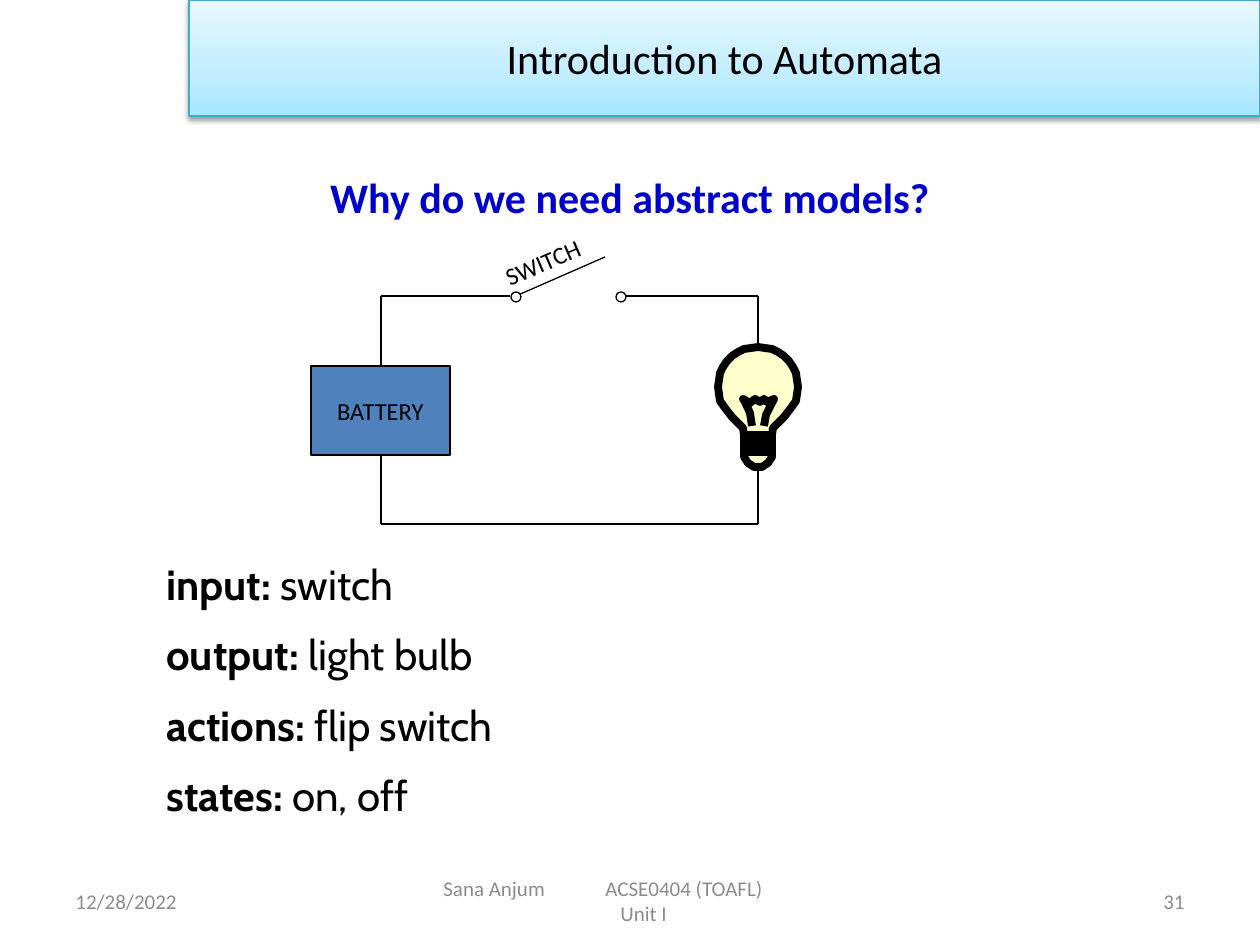
from dataclasses import dataclass
from math import cos, radians, sin

from lxml.etree import SubElement
from pptx import Presentation
from pptx.dml.color import RGBColor
from pptx.enum.shapes import MSO_CONNECTOR, MSO_SHAPE
from pptx.enum.text import MSO_ANCHOR, PP_ALIGN
from pptx.oxml.ns import qn
from pptx.util import Emu, Pt

EMU_PER_PX = 914400 / 126


@dataclass(frozen=True)
class Theme:
    black: str = "000000"
    white: str = "FFFFFF"
    heading: str = "0000CC"
    battery: str = "4F81BD"
    glass: str = "FFFFCC"
    footer: str = "8C8C8C"
    banner_line: str = "46AAC5"
    banner_stops: tuple = ((0, "A7E6FF"), (35, "C1EDFF"), (100, "E7F8FF"))
    font: str = "Calibri"
    list_font: str = "Cabin"
    large: int = 24
    label: int = 14
    small: int = 12
    thin: float = 0.75
    thick: float = 4.5


THEME = Theme()


def px(length):
    return Emu(round(length * EMU_PER_PX))


def add_run(paragraph, text, size, color=THEME.black, bold=False, font=THEME.font):
    run = paragraph.add_run()
    run.text = text
    run.font.name = font
    run.font.size = Pt(size)
    run.font.bold = bold
    run.font.color.rgb = RGBColor.from_string(color)


def add_text_box(slide, box, anchor=MSO_ANCHOR.MIDDLE, wrap=True):
    shape = slide.shapes.add_textbox(*map(px, box))
    shape.text_frame.word_wrap = wrap
    shape.text_frame.vertical_anchor = anchor
    return shape


def add_label(slide, box, text, size, color, align=PP_ALIGN.LEFT, bold=False):
    paragraph = add_text_box(slide, box).text_frame.paragraphs[0]
    paragraph.alignment = align
    add_run(paragraph, text, size, color, bold)


def style_shape(shape, fill, line=THEME.black, width=THEME.thin):
    shape.shadow.inherit = False
    if fill is None:
        shape.fill.background()
    else:
        shape.fill.solid()
        shape.fill.fore_color.rgb = RGBColor.from_string(fill)
    shape.line.color.rgb = RGBColor.from_string(line)
    shape.line.width = Pt(width)


def add_box(slide, kind, box, fill, text="", size=THEME.label, line=THEME.black):
    shape = slide.shapes.add_shape(kind, *map(px, box))
    style_shape(shape, fill, line)
    if text:
        shape.text_frame.vertical_anchor = MSO_ANCHOR.MIDDLE
        paragraph = shape.text_frame.paragraphs[0]
        paragraph.alignment = PP_ALIGN.CENTER
        add_run(paragraph, text, size)
    return shape


def add_wire(slide, start, end):
    wire = slide.shapes.add_connector(MSO_CONNECTOR.STRAIGHT, *map(px, start + end))
    wire.line.color.rgb = RGBColor.from_string(THEME.black)
    wire.line.width = Pt(THEME.thin)
    SubElement(wire._element.spPr, qn("a:effectLst"))


def add_outline(slide, contours, fill, close):
    """Draw one freeform made of several contours of px points."""
    builder = slide.shapes.build_freeform(*contours[0][0], scale=EMU_PER_PX)
    for index, points in enumerate(contours):
        if index:
            builder.move_to(*points[0])
        builder.add_line_segments(points[1:], close=close)
    style_shape(builder.convert_to_shape(), fill, width=THEME.thick)


def add_color(parent, color):
    return SubElement(parent, qn("a:srgbClr"), val=color)


def add_banner(slide, box, text):
    banner = add_box(slide, MSO_SHAPE.RECTANGLE, box, THEME.white, text,
                     THEME.large, THEME.banner_line)
    banner.fill.gradient()
    banner.fill.gradient_angle = 90
    properties = banner._element.spPr
    stops = properties.find(".//" + qn("a:gsLst"))
    for stop in list(stops):
        stops.remove(stop)
    for position, color in THEME.banner_stops:
        add_color(SubElement(stops, qn("a:gs"), pos=str(position * 1000)), color)
    shadow = SubElement(properties.find(qn("a:effectLst")), qn("a:outerShdw"),
                        blurRad=str(Pt(3.1)), dist=str(Pt(1.6)),
                        dir="5400000", rotWithShape="0")
    SubElement(add_color(shadow, THEME.black), qn("a:alpha"), val="38000")


def arc(radius, center_y, first, last, step=10):
    """Points of an arc centred on x = 0, angles clockwise in degrees."""
    return [(radius * cos(radians(angle)), center_y + radius * sin(radians(angle)))
            for angle in range(first, last + 1, step)]


def add_bulb(slide, center_x):
    neck = [(33, 408), (26, 417), (15, 428), (14, 435)]
    half = arc(40, 387, -90, 20) + neck + arc(14, 453, 0, 90, 15)
    right = [(center_x + x, y) for x, y in half]
    left = [(center_x - x, y) for x, y in reversed(half[1:-1])]
    add_outline(slide, [right + left], THEME.glass, True)
    filament = [(-6, 426), (-8, 413), (-13, 402), (-15, 399), (-8, 403), (-3, 399),
                (2, 402), (6, 399), (9, 402), (16, 399), (8, 415), (6, 426)]
    screw = [(-13, 435), (14, 435), (14, 441), (-13, 441),
             (-13, 447), (14, 447), (14, 452), (-13, 452)]
    contours = [[(center_x + x, y) for x, y in points] for points in (filament, screw)]
    add_outline(slide, contours, None, False)


def add_circuit(slide):
    left, right, top, bottom = 381, 758, 296, 524
    wires = [
        ((left, top), (510, top)),
        ((left, top), (left, 366)),
        ((left, 455), (left, bottom)),
        ((left, bottom), (right, bottom)),
        ((620, top), (right, top)),
        ((right, top), (right, bottom)),
        ((516, top), (605, 257)),
    ]
    for start, end in wires:
        add_wire(slide, start, end)
    for contact_x in (511, 616):
        add_box(slide, MSO_SHAPE.OVAL, (contact_x, 292, 10, 10), THEME.white)
    battery = add_box(slide, MSO_SHAPE.RECTANGLE, (311, 366, 139, 89),
                      THEME.battery, "BATTERY")
    battery.text_frame.word_wrap = False
    add_bulb(slide, right)
    switch = add_text_box(slide, (490, 238, 120, 42), MSO_ANCHOR.TOP, wrap=False)
    switch.rotation = 336.7
    add_run(switch.text_frame.paragraphs[0], "SWITCH", THEME.label)


def add_terms(slide, box, terms):
    frame = add_text_box(slide, box, MSO_ANCHOR.TOP).text_frame
    for index, (term, meaning) in enumerate(terms):
        paragraph = frame.add_paragraph() if index else frame.paragraphs[0]
        if index:
            paragraph.space_before = Pt(11.5)
        add_run(paragraph, term, THEME.large, bold=True, font=THEME.list_font)
        add_run(paragraph, " " + meaning, THEME.large, font=THEME.list_font)


def add_course_footer(slide, box):
    frame = add_text_box(slide, box).text_frame
    course, unit = frame.paragraphs[0], frame.add_paragraph()
    tabs = SubElement(course._p.get_or_add_pPr(), qn("a:tabLst"))
    SubElement(tabs, qn("a:tab"), pos=str(px(162)), algn="l")
    unit._p.get_or_add_pPr().set("marL", str(px(177)))
    add_run(course, "Sana Anjum\tACSE0404 (TOAFL)", THEME.small, THEME.footer)
    add_run(unit, "Unit I", THEME.small, THEME.footer)


def main():
    presentation = Presentation()
    presentation.slide_width, presentation.slide_height = px(1260), px(945)
    slide = presentation.slides.add_slide(presentation.slide_layouts[6])
    add_label(slide, (63, 151, 1134, 91), "Why do we need abstract models?",
              THEME.large, THEME.heading, PP_ALIGN.CENTER, bold=True)
    add_circuit(slide)
    add_terms(slide, (154, 552, 427, 290), [
        ("input:", "switch"), ("output:", "light bulb"),
        ("actions:", "flip switch"), ("states:", "on, off")])
    add_banner(slide, (189, 0, 1071, 116), "Introduction to Automata")
    add_label(slide, (63, 876, 294, 50), "12/28/2022", THEME.small, THEME.footer)
    add_label(slide, (903, 876, 294, 50), "31", THEME.small, THEME.footer,
              PP_ALIGN.RIGHT)
    add_course_footer(slide, (431, 876, 399, 50))
    presentation.save("out.pptx")


if __name__ == "__main__":
    main()
